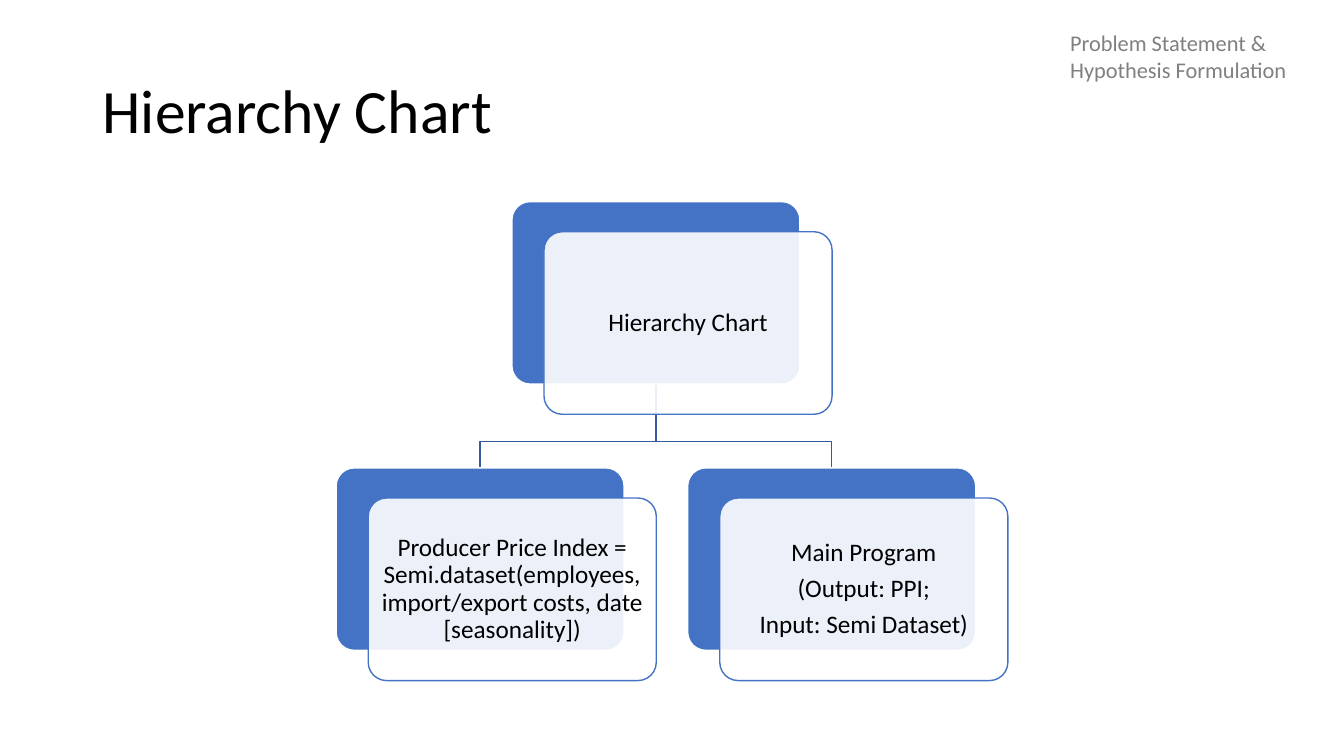
from lxml.etree import SubElement
from pptx import Presentation
from pptx.dml.color import RGBColor
from pptx.enum.shapes import MSO_SHAPE
from pptx.enum.text import MSO_ANCHOR, MSO_AUTO_SIZE, PP_ALIGN
from pptx.oxml.ns import qn
from pptx.util import Cm, Pt

BLUE = RGBColor(0x44, 0x72, 0xC4)
DARK_BLUE = RGBColor(0x36, 0x5B, 0x9D)
WHITE = RGBColor(0xFF, 0xFF, 0xFF)
BLACK = RGBColor(0, 0, 0)
GREY = RGBColor(0x80, 0x80, 0x80)

CARD_WIDTH, CARD_HEIGHT = 7.26, 4.6
SHIFT_X, SHIFT_Y = 0.81, 0.76
ROOT_LEFT, ROOT_TOP = 12.9, 5.08
BRANCH_TOP, BRANCH_STEP = 11.79, 4.43
FORK_Y = 11.13


class HierarchySlide:
    font = "Calibri"

    def __init__(self, slide):
        self.slide = slide

    def set_text(self, frame, lines, size, color, align=PP_ALIGN.LEFT, spacing=1.0, after=0):
        frame.text = "\n".join(lines)
        frame.word_wrap = True
        for paragraph in frame.paragraphs:
            paragraph.alignment = align
            paragraph.line_spacing = spacing
            paragraph.space_after = Pt(after)
            paragraph.font.name = self.font
            paragraph.font.size = Pt(size)
            paragraph.font.color.rgb = color

    def title(self, text, left, top, width, height):
        heading = self.slide.shapes.title
        heading.left, heading.top = Cm(left), Cm(top)
        heading.width, heading.height = Cm(width), Cm(height)
        frame = heading.text_frame
        self.set_text(frame, [text], 44, BLACK, spacing=0.9)
        frame.auto_size = MSO_AUTO_SIZE.NONE
        frame.vertical_anchor = MSO_ANCHOR.MIDDLE

    def section_label(self, text, left, top, width, height):
        label = self.slide.shapes.add_textbox(Cm(left), Cm(top), Cm(width), Cm(height))
        self.set_text(label.text_frame, [text], 16, GREY)
        label.text_frame.auto_size = MSO_AUTO_SIZE.SHAPE_TO_FIT_TEXT

    def branch_line(self, start_x, start_y, end_x, end_y):
        builder = self.slide.shapes.build_freeform(Cm(start_x), Cm(start_y))
        corners = [(start_x, FORK_Y), (end_x, FORK_Y), (end_x, end_y)]
        builder.add_line_segments([(Cm(x), Cm(y)) for x, y in corners], close=False)
        branch = builder.convert_to_shape()
        branch.shadow.inherit = False
        branch.fill.background()
        branch.line.color.rgb = DARK_BLUE
        branch.line.width = Pt(1)

    def rounded_box(self, left, top, fill, outline):
        box = self.slide.shapes.add_shape(
            MSO_SHAPE.ROUNDED_RECTANGLE, Cm(left), Cm(top), Cm(CARD_WIDTH), Cm(CARD_HEIGHT))
        box.adjustments[0] = 0.1
        box.shadow.inherit = False
        box.fill.solid()
        box.fill.fore_color.rgb = fill
        box.line.color.rgb = outline
        box.line.width = Pt(1)
        return box

    def card(self, left, top, lines):
        self.rounded_box(left, top, BLUE, WHITE)
        front = self.rounded_box(left + SHIFT_X, top + SHIFT_Y, WHITE, BLUE)
        fill_color = front.element.spPr.find(qn("a:solidFill"))[0]
        SubElement(fill_color, qn("a:alpha"), val="90000")
        frame = front.text_frame
        frame.margin_left = frame.margin_right = Cm(0.19)
        frame.margin_top = frame.margin_bottom = Cm(0.19)
        frame.vertical_anchor = MSO_ANCHOR.MIDDLE
        self.set_text(frame, lines, 18, BLACK, PP_ALIGN.CENTER, 0.9, 6.3)


def main():
    presentation = Presentation()
    presentation.slide_width, presentation.slide_height = Cm(33.87), Cm(19.05)
    page = HierarchySlide(presentation.slides.add_slide(presentation.slide_layouts[5]))

    page.title("Hierarchy Chart", 2.33, 1.01, 29.21, 3.68)
    page.section_label("Problem Statement & Hypothesis Formulation", 26.72, 0.61, 6.02, 1.63)

    branches = [
        (ROOT_LEFT - BRANCH_STEP,
         ["Producer Price Index = Semi.dataset(employees, import/export costs, date [seasonality])"]),
        (ROOT_LEFT + BRANCH_STEP,
         ["Main Program", "(Output: PPI;", "Input: Semi Dataset)"]),
    ]
    half = CARD_WIDTH / 2
    for left, _ in reversed(branches):
        page.branch_line(ROOT_LEFT + half, ROOT_TOP + CARD_HEIGHT, left + half, BRANCH_TOP)
    page.card(ROOT_LEFT, ROOT_TOP, ["Hierarchy Chart"])
    for left, lines in branches:
        page.card(left, BRANCH_TOP, lines)

    presentation.save("out.pptx")


if __name__ == "__main__":
    main()
